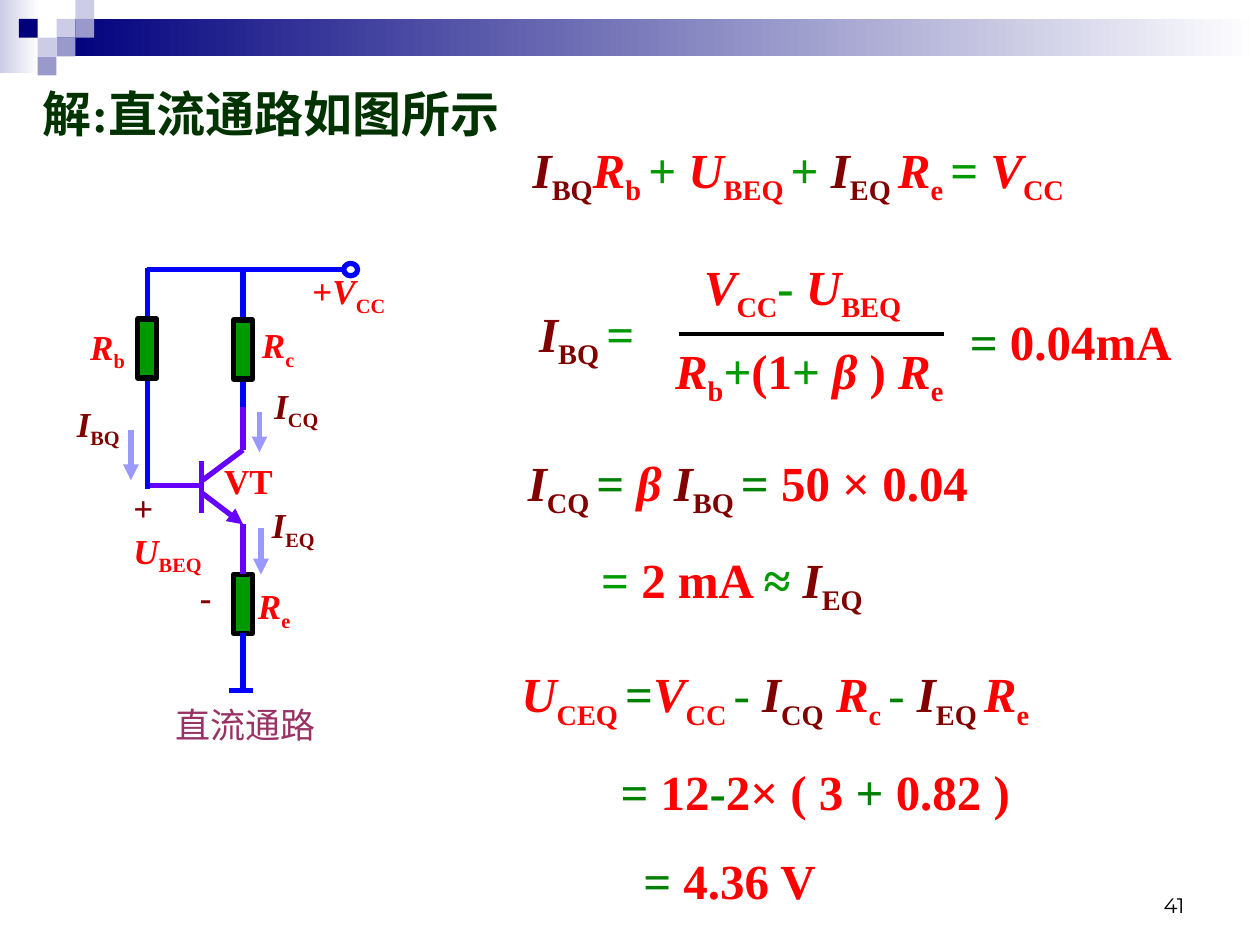
from dataclasses import dataclass

from lxml.etree import SubElement
from pptx import Presentation
from pptx.dml.color import RGBColor
from pptx.enum.shapes import MSO_CONNECTOR as Connector
from pptx.enum.shapes import MSO_SHAPE as Preset
from pptx.enum.text import MSO_ANCHOR as Anchor
from pptx.enum.text import MSO_AUTO_SIZE as AutoSize
from pptx.enum.text import PP_ALIGN as Align
from pptx.oxml.ns import qn
from pptx.util import Cm, Pt

RED, MAROON, GREEN, DEEP_GREEN = "FF0000", "800000", "009900", "008000"
BLUE, PURPLE, LAVENDER, BLACK = "0000FF", "6600FF", "9999FF", "000000"
NAVY, PALE, MID, WHITE = "00007D", "CCCCE6", "9999CC", "FFFFFF"
SERIF = "Times New Roman"
SQUARE = 0.38  # side of a header square, cm
RAIL = 4.9  # x of the collector-emitter branch, cm


@dataclass
class Piece:
    text: str
    color: str = RED
    italic: bool = False
    subscript: bool = False
    bold: bool = True


@dataclass
class Line:
    pieces: list
    indent: float = 0


@dataclass
class Block:
    left: float
    top: float
    width: float
    height: float
    lines: list
    size: int = 28
    font: str = SERIF
    align: Align = Align.LEFT
    anchor: Anchor = Anchor.TOP


@dataclass
class Wire:
    x1: float
    y1: float
    x2: float
    y2: float
    color: str = BLUE
    width: float = 3
    arrow: bool = False


def rgb(color: str) -> RGBColor:
    return RGBColor.from_string(color)


def symbol(letter: str, index: str) -> list:
    """A quantity with its index; currents are maroon, the rest red."""
    color = MAROON if letter == "I" else RED
    return [Piece(letter, color, italic=True), Piece(index, color, subscript=True)]


def sign(text: str, color: str = GREEN, bold: bool = True) -> list:
    return [Piece(text, color, bold=bold)]


def value(text: str, italic: bool = False) -> list:
    return [Piece(text, italic=italic)]


def fill_text(shape, block: Block) -> None:
    shape.left, shape.top = Cm(block.left), Cm(block.top)
    shape.width, shape.height = Cm(block.width), Cm(block.height)
    frame = shape.text_frame
    frame.word_wrap = True
    frame.auto_size = AutoSize.NONE
    frame.vertical_anchor = block.anchor
    for number, line in enumerate(block.lines):
        paragraph = frame.add_paragraph() if number else frame.paragraphs[0]
        paragraph.alignment = block.align
        paragraph.space_before = Pt(17.5 if number else 0)
        if line.indent:
            properties = paragraph._p.get_or_add_pPr()
            properties.set("marL", str(Cm(line.indent)))
            properties.set("indent", "0")
        for piece in line.pieces:
            run = paragraph.add_run()
            run.text = piece.text
            font = run.font
            font.name, font.size = block.font, Pt(block.size)
            font.bold, font.italic = piece.bold, piece.italic
            font.color.rgb = rgb(piece.color)
            if piece.subscript:
                run._r.get_or_add_rPr().set("baseline", "-25000")


def add_text(slide, block: Block) -> None:
    fill_text(slide.shapes.add_textbox(0, 0, 0, 0), block)


def add_label(slide, left: float, top: float, width: float, pieces: list) -> None:
    add_text(slide, Block(left, top, width, 1.22, [Line(pieces)], size=20))


def add_box(slide, left, top, width, height, color=None, line=None, preset=Preset.RECTANGLE):
    shape = slide.shapes.add_shape(preset, Cm(left), Cm(top), Cm(width), Cm(height))
    shape.shadow.inherit = False
    if color:
        shape.fill.solid()
        shape.fill.fore_color.rgb = rgb(color)
    else:
        shape.fill.background()
    if line:
        shape.line.color.rgb = rgb(line)
        shape.line.width = Pt(3)
    else:
        shape.line.fill.background()
    return shape


def add_fade(slide, left, top, width, height, color: str) -> None:
    fill = add_box(slide, left, top, width, height).fill
    fill.gradient()
    fill.gradient_angle = 0
    for stop, stop_color in zip(fill.gradient_stops, (color, WHITE)):
        stop.color.rgb = rgb(stop_color)


def add_wire(slide, wire: Wire):
    connector = slide.shapes.add_connector(
        Connector.STRAIGHT, Cm(wire.x1), Cm(wire.y1), Cm(wire.x2), Cm(wire.y2))
    connector.line.color.rgb = rgb(wire.color)
    connector.line.width = Pt(wire.width)
    if wire.arrow:
        SubElement(connector.line._get_or_add_ln(), qn("a:tailEnd"), type="triangle")
    SubElement(connector._element.spPr, qn("a:effectLst"))
    return connector


def draw_header(slide) -> None:
    add_fade(slide, 0, 0, 0.79, 1.47, PALE)
    add_fade(slide, 3 * SQUARE, SQUARE, 25.4 - 3 * SQUARE, 2 * SQUARE, NAVY)
    squares = {PALE: [(3, 1), (4, 0), (2, 2)], MID: [(4, 1), (3, 2), (2, 3)], NAVY: [(1, 1)]}
    for color, cells in squares.items():
        for column, row in cells:
            add_box(slide, column * SQUARE, row * SQUARE, SQUARE, SQUARE, color)


def draw_equations(slide) -> None:
    loop = (symbol("I", "BQ") + symbol("R", "b ") + sign("+ ") + symbol("U", "BEQ ")
            + sign("+ ") + symbol("I", "EQ ") + symbol("R", "e ") + sign("= ")
            + symbol("V", "CC"))
    numerator = symbol("V", "CC") + sign("- ") + symbol("U", "BEQ")
    denominator = (symbol("R", "b") + sign("+") + value("(1") + sign("+ ")
                   + value("β", True) + value(" ) ") + symbol("R", "e"))
    collector = [
        Line(symbol("I", "CQ ") + sign("= ", DEEP_GREEN) + value("β ", True)
             + symbol("I", "BQ ") + sign("= ", DEEP_GREEN) + value("50 × 0.04")),
        Line(sign("= ") + value("2 mA ") + sign("≈ ") + symbol("I", "EQ"), 1.48),
    ]
    minus = sign("- ", DEEP_GREEN, bold=False)
    voltage = [
        Line(symbol("U", "CEQ ") + sign("=", DEEP_GREEN) + symbol("V", "CC ") + minus
             + symbol("I", "CQ") + value(" ") + symbol("R", "c ") + minus
             + symbol("I", "EQ ") + symbol("R", "e")),
        Line(sign("= ", DEEP_GREEN) + value("12") + sign("-", DEEP_GREEN)
             + value("2× ( 3 ") + sign("+ ", DEEP_GREEN) + value("0.82 )"), 2),
        Line(sign("= ", DEEP_GREEN) + value("4.36 V"), 2.46),
    ]
    for block in (
        Block(10.49, 2.69, 13.74, 1.6, [Line(loop)]),
        Block(10.62, 5.99, 3.23, 1.6, [Line(symbol("I", "BQ ") + sign("="))]),
        Block(13.94, 5.05, 5.87, 1.6, [Line(numerator)]),
        Block(13.36, 6.73, 6.81, 1.6, [Line(denominator)]),
        Block(19.3, 6.15, 5.49, 1.45, [Line(sign("= ", DEEP_GREEN) + value("0.04mA"))]),
        Block(10.39, 8.99, 12.24, 3.58, collector),
        Block(10.26, 13.26, 13.34, 5.38, voltage),
    ):
        add_text(slide, block)
    add_wire(slide, Wire(13.69, 6.73, 19.02, 6.73, BLACK, 2.25))  # fraction bar


def draw_circuit(slide) -> None:
    for wire in (
        # Current arrows
        Wire(2.64, 8.66, 2.64, 9.68, LAVENDER, arrow=True),
        Wire(5.23, 8.31, 5.23, 9.12, LAVENDER, arrow=True),
        Wire(5.26, 10.64, 5.26, 11.58, LAVENDER, arrow=True),
        # Transistor
        Wire(4.06, 9.3, 4.06, 10.34, PURPLE),
        Wire(4.06, 9.7, RAIL, 9.07, PURPLE),
        Wire(RAIL, 9.07, RAIL, 8.03, PURPLE),
        Wire(4.06, 9.93, RAIL, 10.57, PURPLE, arrow=True),
        Wire(4.06, 9.78, 3, 9.78, PURPLE),
        # Supply, branches and ground
        Wire(2.97, 5.41, 2.97, 9.86),
        Wire(2.97, 5.44, 6.96, 5.44),
        Wire(RAIL, 8.2, RAIL, 5.41),
        Wire(4.62, 13.92, 5.11, 13.92),
    ):
        add_wire(slide, wire)
    add_box(slide, 6.93, 5.31, 0.28, 0.25, line=BLUE, preset=Preset.OVAL)

    # Resistors
    base, load, emitter = [
        add_box(slide, x - 0.19, top, 0.38, 1.19, GREEN, BLACK)
        for x, top in ((2.97, 6.43), (RAIL, 6.45), (RAIL, 11.58))]
    add_wire(slide, Wire(RAIL, 10.57, RAIL, 11.58, PURPLE)).end_connect(emitter, 0)
    add_wire(slide, Wire(RAIL, 12.77, RAIL, 13.94)).begin_connect(emitter, 2)

    # Labels
    for left, top, width, pieces in (
        (1.3, 7.98, 1.78, symbol("I", "BQ")),
        (5.28, 7.62, 1.78, symbol("I", "CQ")),
        (5.23, 10.03, 1.78, symbol("I", "EQ")),
        (2.44, 9.68, 1.02, sign("+", MAROON)),
        (3.78, 11.48, 0.99, sign("-", MAROON)),
        (2.44, 10.54, 2.31, symbol("U", "BEQ")),
        (6.05, 5.31, 2.82, value("+") + symbol("V", "CC")),
        (1.57, 6.43, 1.78, symbol("R", "b")),
        (5.03, 6.4, 1.47, symbol("R", "c")),
        (4.95, 11.66, 1.78, symbol("R", "e")),
        (4.27, 9.14, 2.34, value("VT")),
        (3.28, 14.05, 4.52, sign("直流通路", "993366", bold=False)),
    ):
        add_label(slide, left, top, width, pieces)


def main() -> None:
    presentation = Presentation()
    presentation.slide_width, presentation.slide_height = Cm(25.4), Cm(19.05)
    slide = presentation.slides.add_slide(presentation.slide_layouts[5])
    draw_header(slide)
    fill_text(slide.shapes.title, Block(
        0.61, 1.55, 11.28, 1.45, [Line(sign("解:直流通路如图所示", "003300"))]))
    draw_equations(slide)
    draw_circuit(slide)
    add_text(slide, Block(18.21, 17.35, 5.92, 1.27, [Line(sign("41", BLACK, bold=False))],
                          12, "Montserrat", Align.RIGHT, Anchor.BOTTOM))
    presentation.save("out.pptx")


if __name__ == "__main__":
    main()
